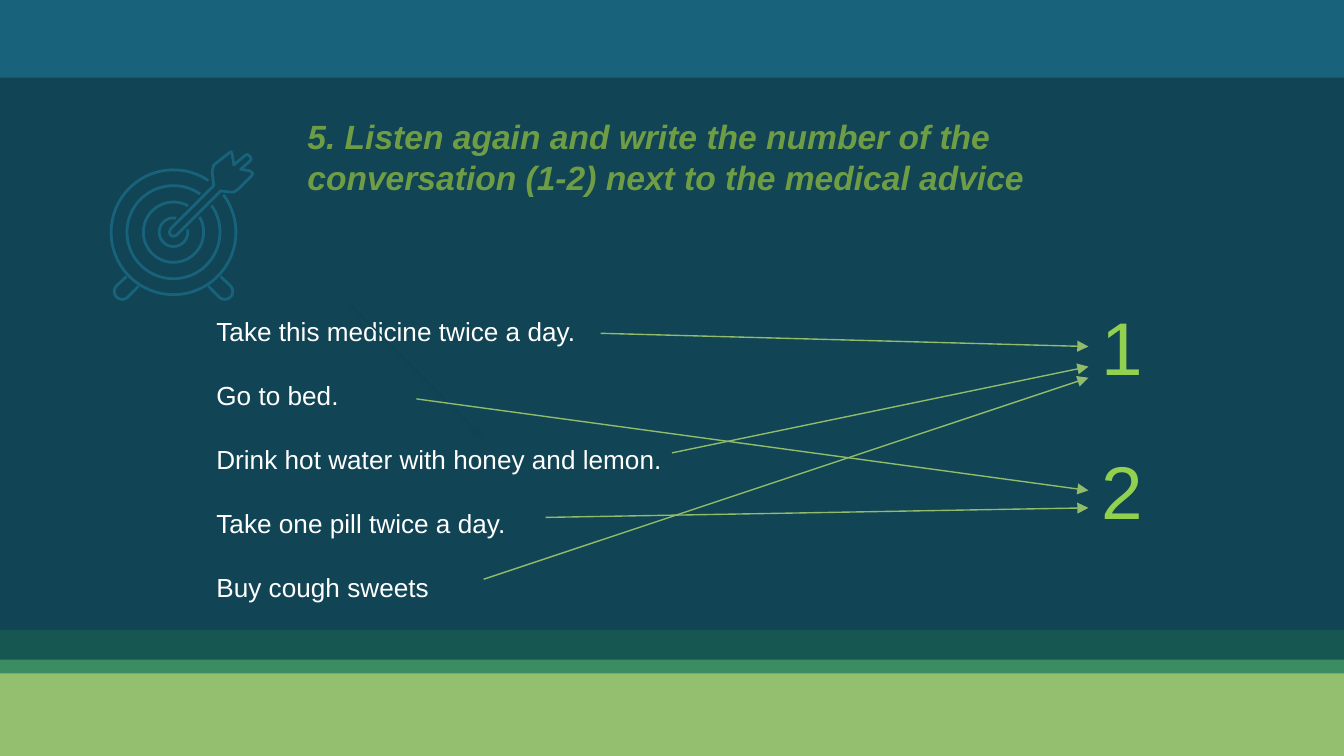
from math import cos, radians, sin

from lxml import etree
from pptx import Presentation
from pptx.dml.color import RGBColor
from pptx.enum.shapes import MSO_CONNECTOR, MSO_SHAPE
from pptx.enum.text import MSO_ANCHOR
from pptx.oxml.ns import qn
from pptx.util import Cm, Pt

RECTANGLE = MSO_SHAPE.RECTANGLE
STRAIGHT = MSO_CONNECTOR.STRAIGHT
TOP, BOTTOM = MSO_ANCHOR.TOP, MSO_ANCHOR.BOTTOM

NAVY = RGBColor(0x11, 0x44, 0x54)
DARK_NAVY = RGBColor(0x0F, 0x43, 0x54)
TEAL = RGBColor(0x18, 0x63, 0x7B)
PINE = RGBColor(0x16, 0x57, 0x51)
EMERALD = RGBColor(0x3B, 0x8D, 0x61)
SAGE = RGBColor(0x94, 0xBF, 0x6E)
ARROW_GREEN = RGBColor(0x91, 0xBD, 0x6A)
TITLE_GREEN = RGBColor(0x6E, 0x9D, 0x45)
LIME = RGBColor(0x92, 0xD0, 0x50)
WHITE = RGBColor(0xFF, 0xFF, 0xFF)

# Content; all lengths in centimetres
SLIDE_WIDTH, SLIDE_HEIGHT = 25.4, 14.29
TITLE = ("5. Listen again and write the number of the conversation (1-2) "
         "next to the medical advice")
ADVICE = [
    "Take this medicine twice a day.",
    "Go to bed.",
    "Drink hot water with honey and lemon.",
    "Take one pill twice a day.",
    "Buy cough sweets",
]
CONVERSATIONS = [("1", 5.56), ("2", 8.28)]  # number, top
NUMBER_LEFT = 20.57

BANDS = [  # top, height, colour
    (11.91, 0.69, PINE),
    (0, 1.47, TEAL),
    (12.47, 0.33, EMERALD),
    (12.73, 1.56, SAGE),
]
ARROWS = [  # start, end, colour
    ((11.35, 6.3), (NUMBER_LEFT, 6.55), ARROW_GREEN),
    ((6.6, 5.74), (9.14, 8.28), DARK_NAVY),
    ((7.87, 7.54), (NUMBER_LEFT, 9.27), ARROW_GREEN),
    ((12.7, 8.56), (NUMBER_LEFT, 6.93), ARROW_GREEN),
    ((10.31, 9.78), (NUMBER_LEFT, 9.6), ARROW_GREEN),
    ((9.14, 10.95), (NUMBER_LEFT, 7.14), ARROW_GREEN),
]

# Target icon: open rings, two mirrored feet and a dart
TARGET_CENTRE = (3.28, 4.39)
RINGS = [  # radius, start and end angle
    (1.18, 56, 397),
    (0.88, 55, 395),
    (0.27, 79, 371),
    (0.57, 61, 390),
]
FOOT_CENTRE, FOOT_RADIUS = (2.31, 5.51), 0.15
FOOT_TOP, FOOT_END = (2.39, 5.23), (2.62, 5.41)
DART = [
    (4.72, 3.23), (4.55, 3.2), (4.72, 3.05), (4.75, 3), (4.72, 2.95),
    (4.67, 2.92), (4.62, 2.95), (4.42, 3.12), (4.39, 2.92), (4.37, 2.87),
    (4.32, 2.9), (4.04, 3.12), (4.01, 3.25), (4.04, 3.51), (3.23, 4.32),
    (3.2, 4.39), (3.23, 4.45), (3.28, 4.47), (3.33, 4.45), (4.17, 3.61),
    (4.34, 3.63), (4.42, 3.63), (4.5, 3.58), (4.75, 3.33), (4.78, 3.28),
    (4.75, 3.25),
]

prs = Presentation()
prs.slide_width, prs.slide_height = Cm(SLIDE_WIDTH), Cm(SLIDE_HEIGHT)
slide = prs.slides.add_slide(prs.slide_layouts[6])
slide.background.fill.solid()
slide.background.fill.fore_color.rgb = NAVY


def add_text(paragraphs, left, top, width, height, *, size, color, bold=False,
             italic=False, anchor=TOP, margin=0.13, gap=0):
    frame = slide.shapes.add_textbox(
        Cm(left), Cm(top), Cm(width), Cm(height)).text_frame
    frame.word_wrap = True
    frame.vertical_anchor = anchor
    frame.margin_top = frame.margin_bottom = Cm(margin)
    frame.text = "\n".join(paragraphs)
    for index, paragraph in enumerate(frame.paragraphs):
        paragraph.space_before = Pt(gap if index else 0)
        font = paragraph.runs[0].font
        font.name, font.size = "Arial", Pt(size)
        font.bold, font.italic = bold, italic
        font.color.rgb = color


def arc(centre, radius, start, end, step=6):
    count = round((end - start) / step)
    angles = [radians(start + (end - start) * i / count)
              for i in range(count + 1)]
    return [(centre[0] + radius * cos(a), centre[1] - radius * sin(a))
            for a in angles]


def add_outline(points, close=False):
    start, *rest = [(Cm(x), Cm(y)) for x, y in points]
    builder = slide.shapes.build_freeform(*start)
    builder.add_line_segments(rest, close=close)
    outline = builder.convert_to_shape()
    outline.shadow.inherit = False
    outline.fill.background()
    outline.line.color.rgb = TEAL
    outline.line.width = Pt(1.5)


def add_arrow(start, end, color):
    arrow = slide.shapes.add_connector(
        STRAIGHT, *(Cm(value) for value in start + end))
    arrow.line.color.rgb = color
    arrow.line.width = Pt(0.75)
    etree.SubElement(arrow.line._get_or_add_ln(), qn("a:tailEnd"),
                     type="triangle")
    etree.SubElement(arrow._element.spPr, qn("a:effectLst"))


# Background bands
for top, height, color in BANDS:
    band = slide.shapes.add_shape(
        RECTANGLE, 0, Cm(top), prs.slide_width, Cm(height))
    band.shadow.inherit = False
    band.fill.solid()
    band.fill.fore_color.rgb = color
    band.line.fill.background()

# Title
add_text([TITLE], 5.56, 0.74, 16.13, 3.23, size=18, color=TITLE_GREEN,
         bold=True, italic=True, anchor=BOTTOM, margin=0.25)

# Target icon
for radius, start, end in RINGS:
    add_outline(arc(TARGET_CENTRE, radius, start, end))
left_foot = [FOOT_TOP, *arc(FOOT_CENTRE, FOOT_RADIUS, 135, 315, 15), FOOT_END]
add_outline(left_foot)
add_outline([(2 * TARGET_CENTRE[0] - x, y) for x, y in left_foot])
add_outline(DART, close=True)

# Advice and conversation numbers
add_text(ADVICE, 3.84, 5.84, 9.32, 5.64, size=14, color=WHITE, gap=17.4)
for number, top in CONVERSATIONS:
    add_text([number], NUMBER_LEFT, top, 2.8, 1.96, size=40, color=LIME)

# Arrows from advice to conversation
for start, end, color in ARROWS:
    add_arrow(start, end, color)

prs.save("out.pptx")
